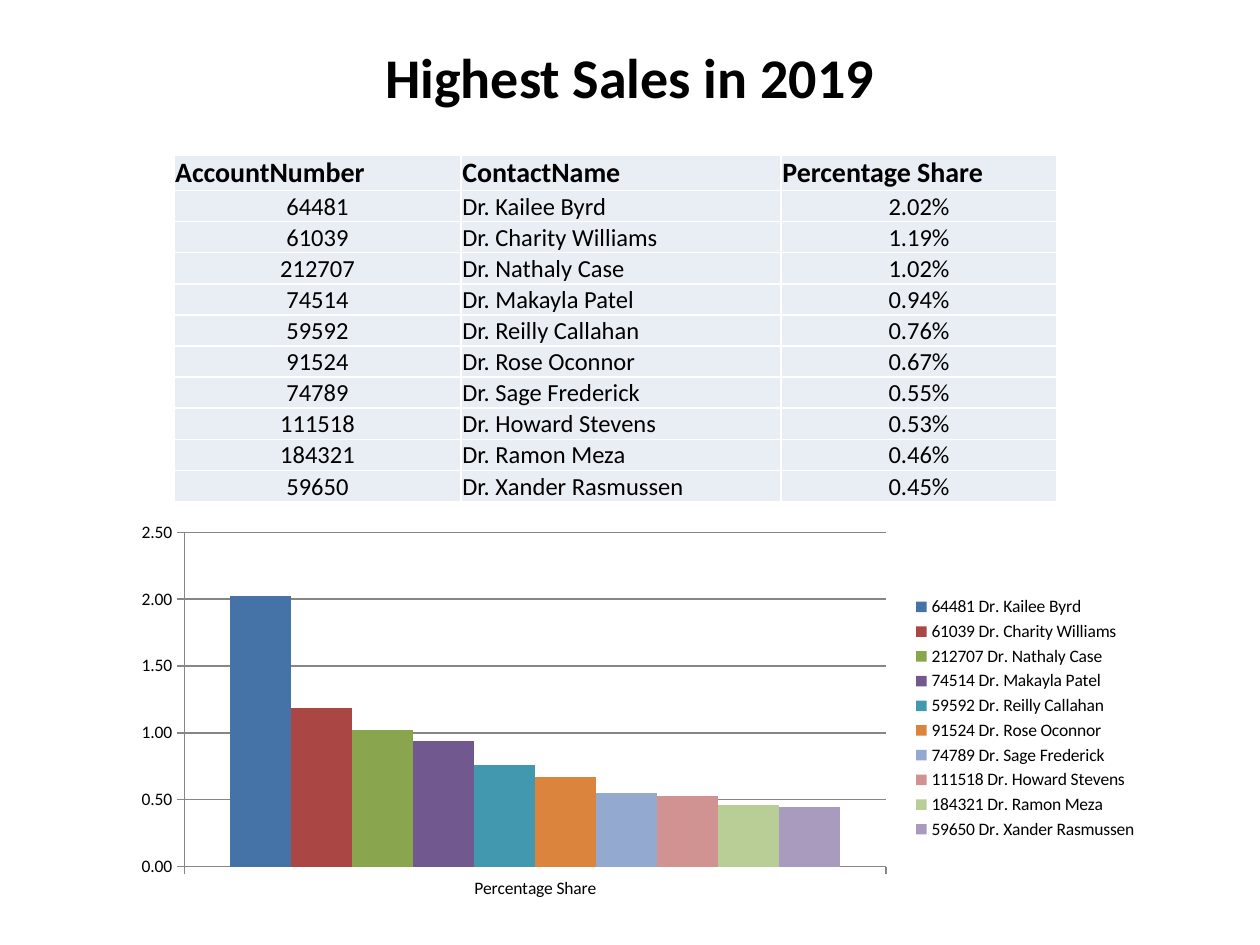
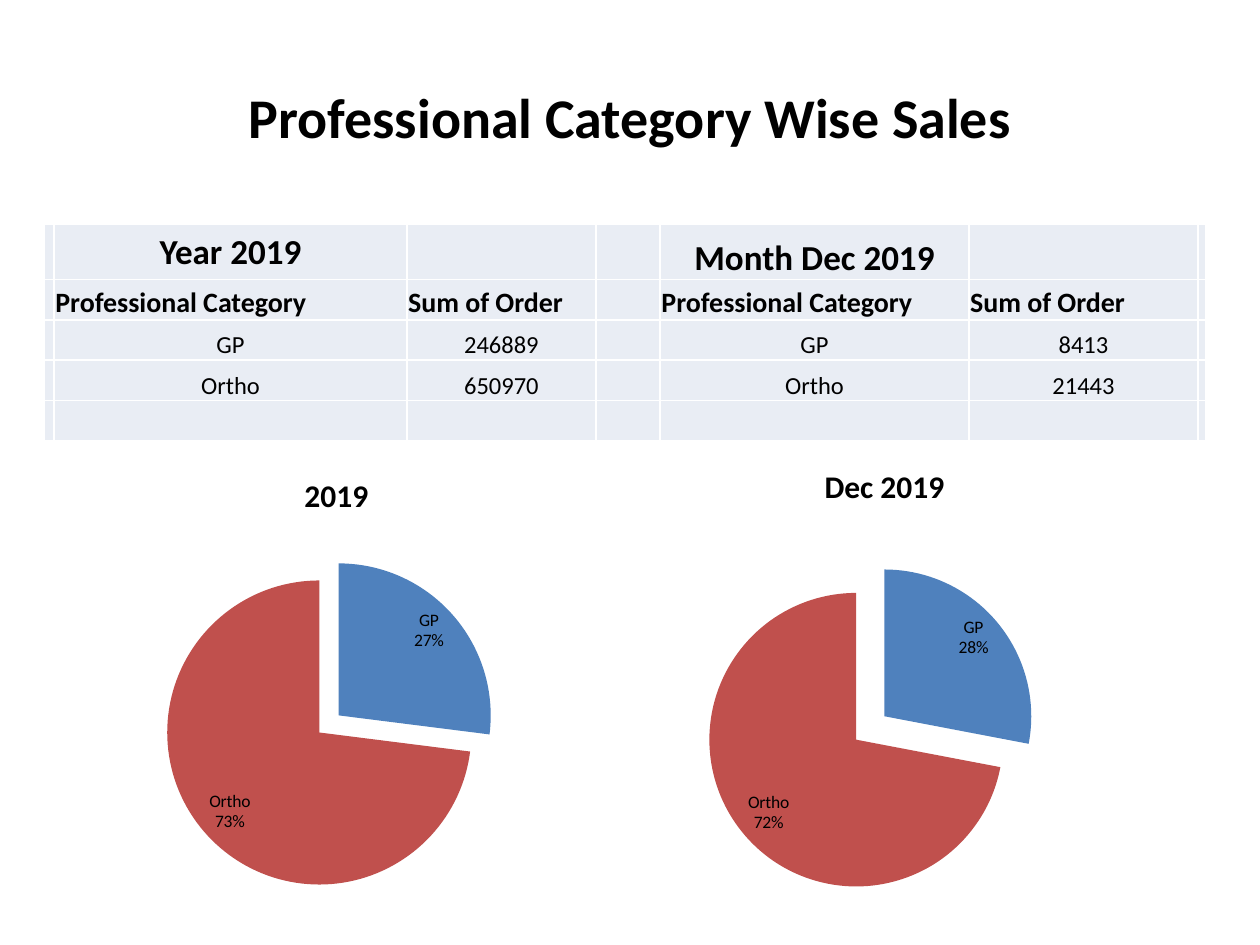
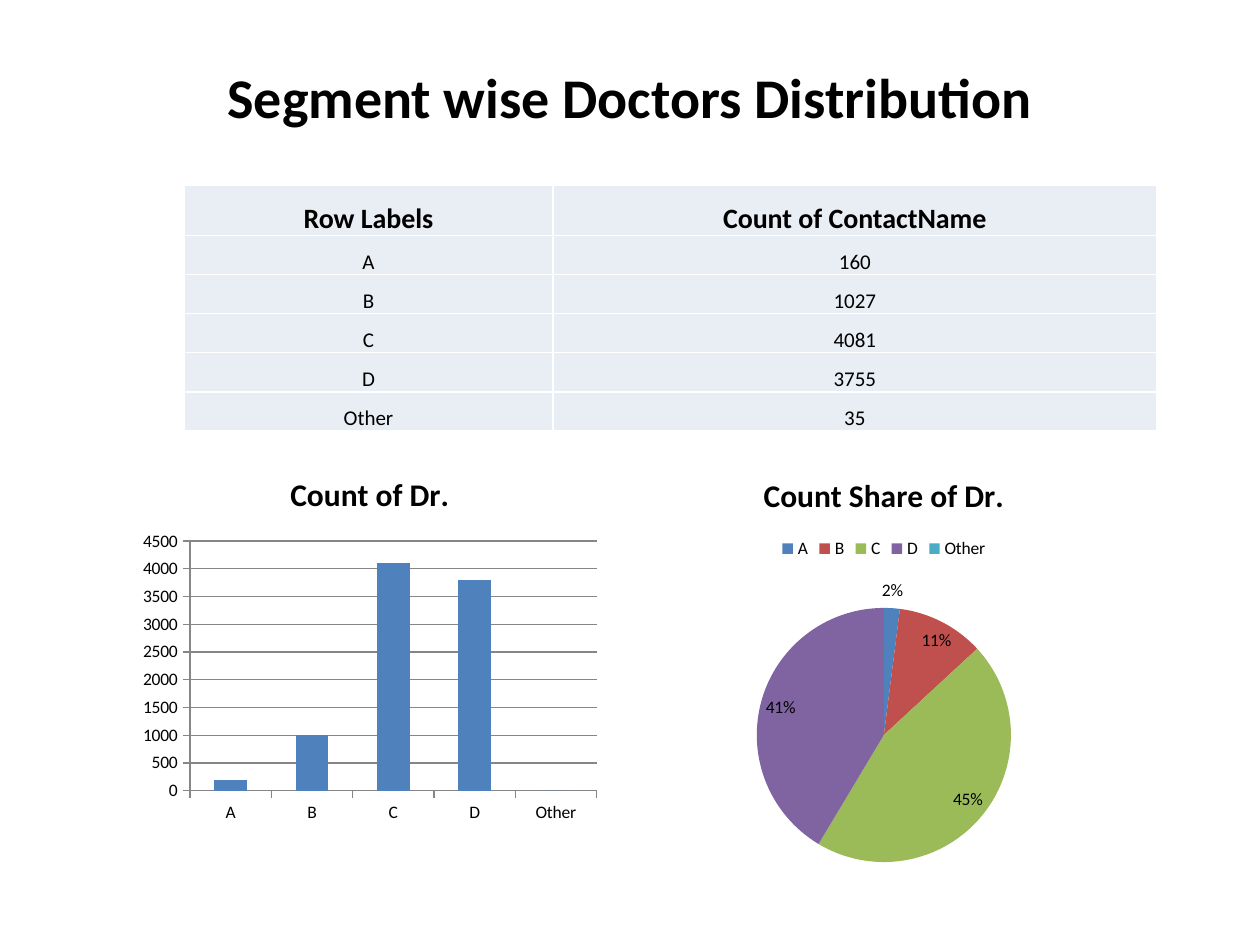
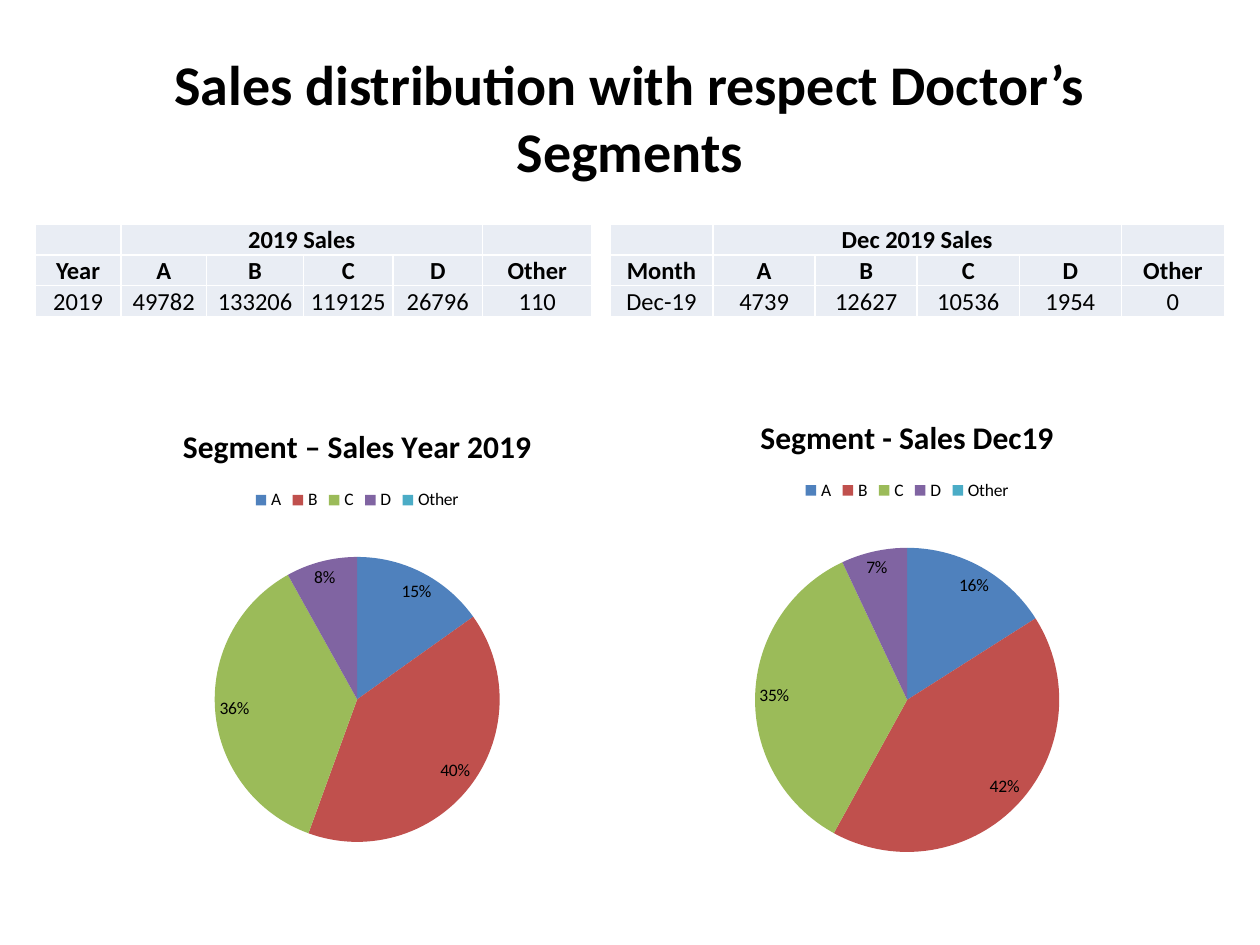
from dataclasses import dataclass
from typing import Optional

from lxml.etree import SubElement
from pptx import Presentation
from pptx.chart.data import CategoryChartData
from pptx.dml.color import RGBColor
from pptx.enum.chart import XL_CHART_TYPE, XL_LABEL_POSITION, XL_LEGEND_POSITION, XL_TICK_MARK
from pptx.enum.text import MSO_ANCHOR, PP_ALIGN
from pptx.oxml.ns import qn
from pptx.util import Inches, Pt

Box = tuple[float, float, float, float]


# Theme
@dataclass(frozen=True)
class Theme:
    font: str = "Calibri"
    ink: str = "000000"
    cell: str = "E9EDF4"
    border: str = "FFFFFF"
    grid: str = "868686"
    accents: tuple = ("4F81BD", "C0504D", "9BBB59", "8064A2", "4BACC6")
    ranking: tuple = ("4572A7", "AA4643", "89A54E", "71588F", "4198AF",
                      "DB843D", "93A9CF", "D19392", "B9CD96", "A99BBD")
    title: int = 32
    band: int = 20
    chart_title: int = 18
    head: int = 16
    body: int = 14
    small: int = 12
    label: int = 10


T = Theme()


# Descriptions of the repeated elements
@dataclass
class TableSpec:
    at: Box
    cols: list[float]
    heights: list[float]
    rows: list[list[str]]
    sizes: list[int]
    bold_rows: int = 1
    left_rows: tuple = ()
    left_cols: tuple = ()
    middle_cells: tuple = ()
    merge: Optional[tuple[int, int]] = None
    pad: float = 0.01


@dataclass
class ChartSpec:
    at: Box
    cats: list[str]
    series: dict[str, list[float]]
    title: str = ""
    legend: Optional[XL_LEGEND_POSITION] = None
    colors: tuple = T.accents
    number_format: str = "General"
    plot_area: Optional[Box] = None
    explosion: int = 0
    first_explosion: int = 0
    show_category: bool = False


def inches(box: Box) -> list:
    return [Inches(v) for v in box]


def rgb(color: str) -> RGBColor:
    return RGBColor.from_string(color)


def format_font(font, size: int, bold: bool = False) -> None:
    font.name, font.size, font.bold = T.font, Pt(size), bold
    font.color.rgb = rgb(T.ink)


def write_text(tf, text: str, *, size: int, bold: bool = False,
               align: PP_ALIGN = PP_ALIGN.CENTER) -> None:
    p = tf.paragraphs[0]
    p.alignment = align
    if text:
        r = p.add_run()
        r.text = text
        format_font(r.font, size, bold)
    else:
        # An empty cell keeps the row's type size
        SubElement(p._p, qn("a:endParaRPr"), sz=str(size * 100))


def add_title(slide, text: str, height: float) -> None:
    tf = slide.shapes.add_textbox(*inches((0.5, 0.3, 9, height))).text_frame
    tf.word_wrap = True
    tf.vertical_anchor = MSO_ANCHOR.MIDDLE
    write_text(tf, text, size=T.title, bold=True)


# Tables
def style_cell(cell, pad: float) -> None:
    cell.margin_left = cell.margin_right = cell.margin_top = Inches(pad)
    cell.margin_bottom = 0
    tcPr = cell._tc.get_or_add_tcPr()
    for side in ("lnL", "lnR", "lnT", "lnB"):
        ln = SubElement(tcPr, qn(f"a:{side}"), w=str(Pt(1)))
        SubElement(SubElement(ln, qn("a:solidFill")), qn("a:srgbClr"), val=T.border)
    cell.fill.solid()
    cell.fill.fore_color.rgb = rgb(T.cell)


def add_table(slide, spec: TableSpec) -> None:
    table = slide.shapes.add_table(len(spec.rows), len(spec.cols), *inches(spec.at)).table
    table.first_row = table.horz_banding = False
    for col, width in zip(table.columns, spec.cols):
        col.width = Inches(width)
    for i, (row, height) in enumerate(zip(spec.rows, spec.heights)):
        table.rows[i].height = Inches(height)
        for j, text in enumerate(row):
            cell = table.cell(i, j)
            style_cell(cell, spec.pad)
            middle = (i, j) in spec.middle_cells
            cell.vertical_anchor = MSO_ANCHOR.MIDDLE if middle else MSO_ANCHOR.BOTTOM
            left = i in spec.left_rows or j in spec.left_cols
            write_text(cell.text_frame, text, size=spec.sizes[i], bold=i < spec.bold_rows,
                       align=PP_ALIGN.LEFT if left else PP_ALIGN.CENTER)
    if spec.merge:
        first, last = spec.merge
        table.cell(0, first).merge(table.cell(0, last))


# Charts
def add_chart(slide, spec: ChartSpec, kind: XL_CHART_TYPE):
    data = CategoryChartData(number_format=spec.number_format)
    data.categories = spec.cats
    for name, values in spec.series.items():
        data.add_series(name, values)
    chart = slide.shapes.add_chart(kind, *inches(spec.at), data).chart
    format_font(chart.font, T.label)
    chart.has_title = bool(spec.title)
    if spec.title:
        write_text(chart.chart_title.text_frame, spec.title, size=T.chart_title, bold=True)
        chart.chart_title.include_in_layout = False
    chart.has_legend = spec.legend is not None
    if chart.has_legend:
        chart.legend.position = spec.legend
        chart.legend.include_in_layout = False
    return chart


def set_plot_area(chart, box: Box) -> None:
    area = chart._chartSpace.find(".//" + qn("c:plotArea"))
    for old in area.findall(qn("c:layout")):
        area.remove(old)
    layout = SubElement(area, qn("c:layout"))
    area.insert(0, layout)
    manual = SubElement(layout, qn("c:manualLayout"))
    settings = {"layoutTarget": "inner", "xMode": "edge", "yMode": "edge"}
    settings.update(zip("xywh", map(str, box)))
    for tag, val in settings.items():
        SubElement(manual, qn(f"c:{tag}"), val=val)


def explode(ser, whole: int, first: int) -> None:
    """Pull all slices out by one amount and the first slice by its own."""
    dPt = ser.find(qn("c:dPt"))
    own = SubElement(dPt, qn("c:explosion"), val=str(first))
    dPt.find(qn("c:spPr")).addprevious(own)
    ser.find(qn("c:tx")).addnext(SubElement(ser, qn("c:explosion"), val=str(whole)))


def add_columns(slide, spec: ChartSpec) -> None:
    chart = add_chart(slide, spec, XL_CHART_TYPE.COLUMN_CLUSTERED)
    plot = chart.plots[0]
    plot.gap_width, plot.overlap, plot.vary_by_categories = 150, 0, False
    for s, color in zip(plot.series, spec.colors):
        s.format.fill.solid()
        s.format.fill.fore_color.rgb = rgb(color)
    value_axis = chart.value_axis
    value_axis.has_major_gridlines = True
    value_axis.tick_labels.number_format = spec.number_format
    value_axis.tick_labels.number_format_is_linked = False
    for axis in (chart.category_axis, value_axis):
        axis.major_tick_mark = XL_TICK_MARK.OUTSIDE
        axis.minor_tick_mark = XL_TICK_MARK.NONE
    for lined in (chart.category_axis, value_axis, value_axis.major_gridlines):
        lined.format.line.color.rgb = rgb(T.grid)
        lined.format.line.width = Pt(0.75)
    if spec.plot_area:
        set_plot_area(chart, spec.plot_area)


def add_pie(slide, spec: ChartSpec) -> None:
    plot = add_chart(slide, spec, XL_CHART_TYPE.PIE).plots[0]
    plot.vary_by_categories = True
    s = plot.series[0]
    for i, color in enumerate(spec.colors[:len(spec.cats)]):
        fill = s.points[i].format.fill
        fill.solid()
        fill.fore_color.rgb = rgb(color)
    if spec.explosion:
        explode(s._element, spec.explosion, spec.first_explosion)
    plot.has_data_labels = True
    labels = plot.data_labels
    labels.show_value, labels.show_percentage = False, True
    labels.show_category_name = spec.show_category
    labels.position = XL_LABEL_POSITION.BEST_FIT
    if spec.show_category:
        dLbls = labels._element
        separator = SubElement(dLbls, qn("c:separator"))
        separator.text = "\n"
        dLbls.find(qn("c:showBubbleSize")).addnext(separator)


# Slide contents
SEGMENTS = ["A", "B", "C", "D", "Other"]
CATEGORIES = ["GP", "Ortho"]
SERIES = "Series 1"
TOP = XL_LEGEND_POSITION.TOP


def highest_sales(slide) -> None:
    ranking = [
        ("64481", "Dr. Kailee Byrd", 2.02),
        ("61039", "Dr. Charity Williams", 1.19),
        ("212707", "Dr. Nathaly Case", 1.02),
        ("74514", "Dr. Makayla Patel", 0.94),
        ("59592", "Dr. Reilly Callahan", 0.76),
        ("91524", "Dr. Rose Oconnor", 0.67),
        ("74789", "Dr. Sage Frederick", 0.55),
        ("111518", "Dr. Howard Stevens", 0.53),
        ("184321", "Dr. Ramon Meza", 0.46),
        ("59650", "Dr. Xander Rasmussen", 0.45),
    ]
    count = len(ranking)
    add_columns(slide, ChartSpec(
        (1.06, 4.06, 8.07, 3.28), ["Percentage Share"],
        {f"{account} {name}": [share] for account, name, share in ranking},
        legend=XL_LEGEND_POSITION.RIGHT, colors=T.ranking, number_format="0.00",
        plot_area=(0.05, 0.05, 0.69, 0.81)))
    add_table(slide, TableSpec(
        (1.38, 1.23, 7.01, 2.71), [2.28, 2.54, 2.19], [0.24] + [0.22] * count,
        [["AccountNumber", "ContactName", "Percentage Share"]]
        + [[account, name, f"{share:.2f}%"] for account, name, share in ranking],
        [T.head] + [T.body] * count, left_rows=(0,), left_cols=(1,)))
    add_title(slide, "Highest Sales in 2019", 0.61)


def category_sales(slide) -> None:
    add_title(slide, "Professional Category Wise Sales", 1.25)
    head = ["Professional Category", "Sum of Order"]
    body = [["", cat, year, "", cat, month, ""]
            for cat, year, month in zip(CATEGORIES, ("246889", "650970"), ("8413", "21443"))]
    add_table(slide, TableSpec(
        (0.35, 1.78, 9.21, 1.73), [0.08, 2.8, 1.5, 0.51, 2.45, 1.82, 0.05],
        [0.44] + [0.32] * 4,
        [["", "Year 2019", "", "", "Month Dec 2019", "", ""],
         ["", *head, "", *head, ""], *body, [""] * 7],
        [T.band, T.head] + [T.body] * 3,
        bold_rows=2, left_rows=(1,), middle_cells=((0, 1),)))
    for at, title, shares, explosion, first in (
            ((0.75, 3.59, 3.84, 3.63), "2019", [27, 73], 15, 2),
            ((5.08, 3.51, 3.88, 3.77), "Dec 2019", [28, 72], 25, 0)):
        add_pie(slide, ChartSpec(at, CATEGORIES, {SERIES: shares}, title, explosion=explosion,
                                 first_explosion=first, show_category=True))


def doctor_segments(slide) -> None:
    add_title(slide, "Segment wise Doctors Distribution", 0.93)
    counts = ["160", "1027", "4081", "3755", "35"]
    add_table(slide, TableSpec(
        (1.46, 1.47, 7.72, 1.97), [2.93, 4.79], [0.4] + [0.31] * 5,
        [["Row Labels", "Count of ContactName"]]
        + [[segment, n] for segment, n in zip(SEGMENTS, counts)],
        [T.head] + [T.small] * 5, pad=0))
    add_pie(slide, ChartSpec((4.69, 3.59, 4.65, 3.39), SEGMENTS,
                             {SERIES: [2, 11, 45, 41, 0]}, "Count Share of Dr.", TOP))
    add_columns(slide, ChartSpec((1.06, 3.59, 3.75, 3), SEGMENTS,
                                 {SERIES: [200, 1000, 4100, 3800, 0]}, "Count of Dr."))


def segment_sales(slide) -> None:
    for at, cols, band, period, sales in (
            ((0.28, 1.78, 4.41, 0.73), [0.68, 0.68, 0.77, 0.71, 0.71, 0.87],
             "2019 Sales", "Year", ["2019", "49782", "133206", "119125", "26796", "110"]),
            ((4.84, 1.78, 4.88, 0.73), [0.82] + [0.81] * 4 + [0.82],
             "Dec 2019 Sales", "Month", ["Dec-19", "4739", "12627", "10536", "1954", "0"])):
        add_table(slide, TableSpec(
            at, cols, [0.21] * 3,
            [["", band, "", "", "", ""], [period, *SEGMENTS], sales],
            [T.body] * 3, bold_rows=2, merge=(1, 4)))
    for at, title, shares in (
            ((4.76, 3.12, 4.88, 3.78), "Segment - Sales Dec19", [16, 42, 35, 7, 0]),
            ((0.67, 3.2, 4.33, 3.62), "Segment – Sales Year 2019", [15, 40, 36, 8, 0])):
        add_pie(slide, ChartSpec(at, SEGMENTS, {SERIES: shares}, title, TOP))
    add_title(slide, "Sales distribution with respect Doctor’s Segments", 1.25)


def main() -> None:
    prs = Presentation()
    prs.slide_width, prs.slide_height = Inches(10), Inches(7.5)
    for build in (highest_sales, category_sales, doctor_segments, segment_sales):
        build(prs.slides.add_slide(prs.slide_layouts[6]))
    prs.save("out.pptx")


if __name__ == "__main__":
    main()
